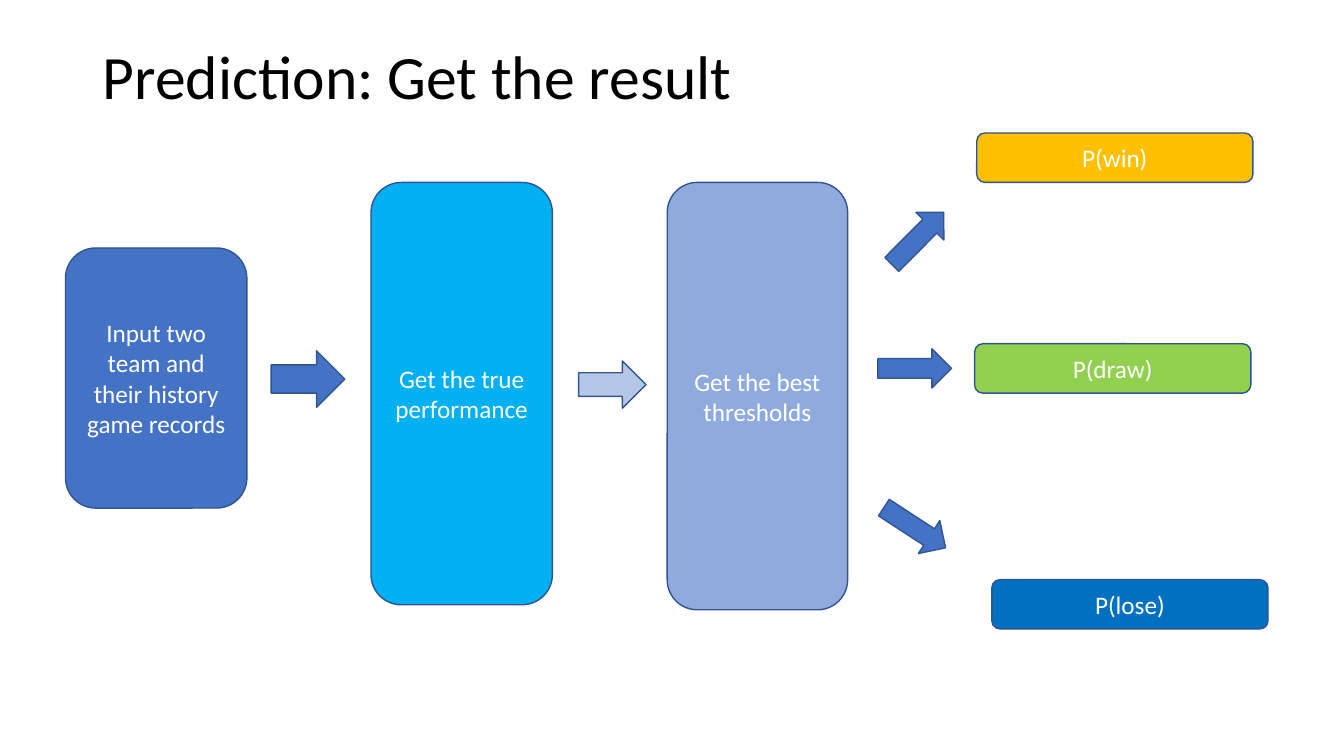
from dataclasses import dataclass

from pptx import Presentation
from pptx.dml.color import RGBColor
from pptx.enum.shapes import MSO_SHAPE
from pptx.enum.text import MSO_ANCHOR, MSO_AUTO_SIZE, PP_ALIGN
from pptx.util import Pt


@dataclass(frozen=True)
class Theme:
    font: str = "Calibri"
    title_size: int = 44
    body_size: int = 18
    line_width: int = 1
    text: str = "000000"
    light_text: str = "FFFFFF"
    outline: str = "325491"
    blue: str = "4472C4"
    cyan: str = "00B0F0"
    soft_blue: str = "8FAADC"
    pale_blue: str = "B4C7E7"
    gold: str = "FFC000"
    green: str = "92D050"
    deep_blue: str = "0070C0"


class SlideBuilder:
    def __init__(self, prs, theme):
        self.theme = theme
        self.s = prs.slides.add_slide(prs.slide_layouts[5])

    def add_text(self, tf, text, size, color, align):
        tf.word_wrap = True
        tf.auto_size = MSO_AUTO_SIZE.NONE
        tf.vertical_anchor = MSO_ANCHOR.MIDDLE
        p = tf.paragraphs[0]
        p.alignment = align
        r = p.add_run()
        r.text = text
        r.font.name = self.theme.font
        r.font.size = Pt(size)
        r.font.color.rgb = RGBColor.from_string(color)
        return p

    def title(self, text, x, y, w, h):
        sp = self.s.shapes.title
        sp.left, sp.top, sp.width, sp.height = Pt(x), Pt(y), Pt(w), Pt(h)
        p = self.add_text(sp.text_frame, text, self.theme.title_size,
                          self.theme.text, PP_ALIGN.LEFT)
        p.line_spacing = 0.9
        p.space_before = Pt(0)

    def shape(self, kind, x, y, w, h, fill):
        sp = self.s.shapes.add_shape(kind, Pt(x), Pt(y), Pt(w), Pt(h))
        sp.shadow.inherit = False
        sp.fill.solid()
        sp.fill.fore_color.rgb = RGBColor.from_string(fill)
        sp.line.color.rgb = RGBColor.from_string(self.theme.outline)
        sp.line.width = Pt(self.theme.line_width)
        return sp

    def box(self, text, x, y, w, h, fill):
        sp = self.shape(MSO_SHAPE.ROUNDED_RECTANGLE, x, y, w, h, fill)
        self.add_text(sp.text_frame, text, self.theme.body_size,
                      self.theme.light_text, PP_ALIGN.CENTER)

    def arrow(self, x, y, w, h, fill, rotation=0):
        sp = self.shape(MSO_SHAPE.RIGHT_ARROW, x, y, w, h, fill)
        sp.rotation = rotation


def main():
    prs = Presentation()
    prs.slide_width, prs.slide_height = Pt(960), Pt(540)
    theme = Theme()
    slide = SlideBuilder(prs, theme)

    slide.title("Prediction: Get the result", 66.2, 28.8, 821.5, 55.4)

    stages = [
        ("Input two team and their history game records",
         46.8, 177.1, 129.6, 185.8, theme.blue),
        ("Get the true performance", 265, 130.3, 129.6, 301.7, theme.cyan),
        ("Get the best thresholds", 476.6, 130.3, 128.9, 305.3, theme.soft_blue),
    ]
    for stage in stages:
        slide.box(*stage)

    outcomes = [
        ("P(win)", 697.7, 95, theme.gold),
        ("P(draw)", 696.2, 245.5, theme.green),
        ("P(lose)", 708.5, 414, theme.deep_blue),
    ]
    for text, x, y, fill in outcomes:
        slide.box(text, x, y, 197.3, 35.3, fill)

    slide.arrow(193.7, 250.6, 52.6, 40.3, theme.blue)
    slide.arrow(413.3, 257.8, 48.2, 33.8, theme.pale_blue)
    for x, y, rotation in [(629.3, 156.2, 314.9), (627.1, 249.1, 0),
                           (627.1, 362.9, 33.1)]:
        slide.arrow(x, y, 52.6, 28.1, theme.blue, rotation)

    prs.save("out.pptx")


if __name__ == "__main__":
    main()
